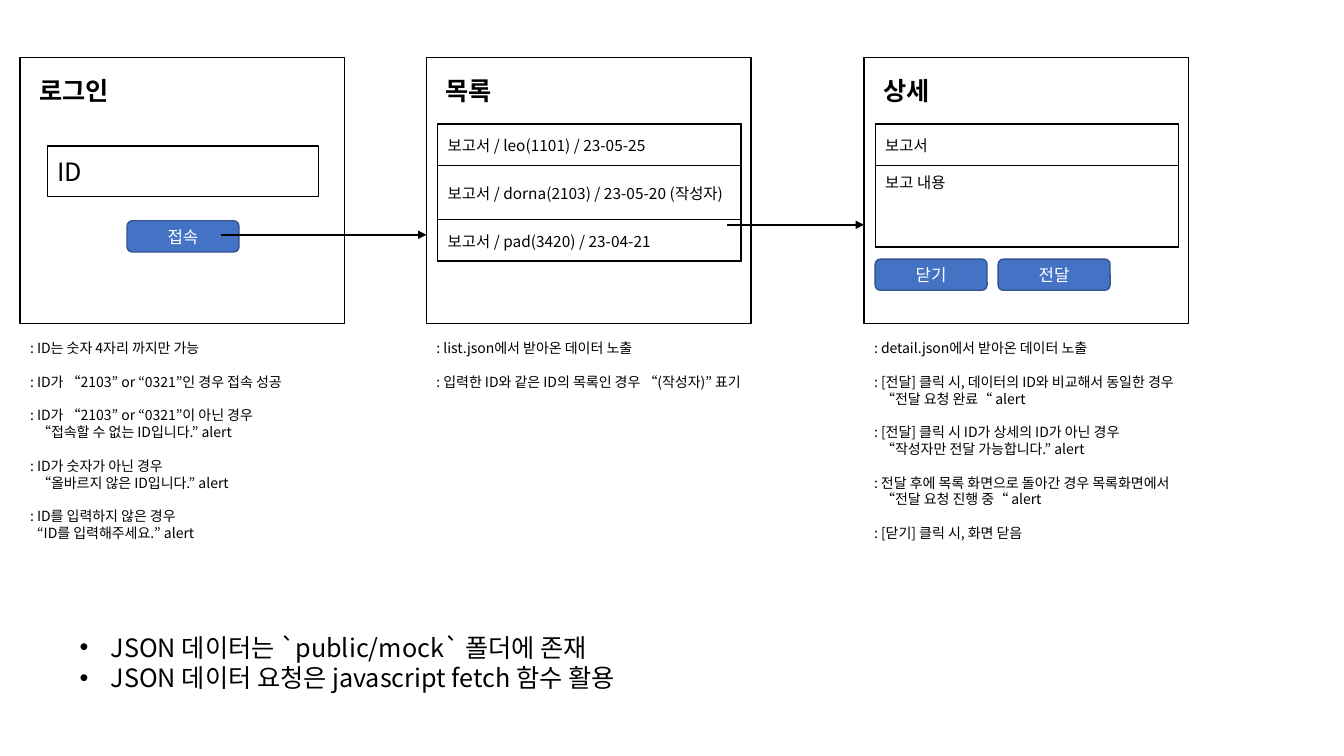
from lxml import etree
from pptx import Presentation
from pptx import util as u
from pptx.dml.color import RGBColor
from pptx.enum import shapes, text
from pptx.oxml.ns import qn

COLORS = {"ink": "000000", "paper": "FFFFFF", "button": "4472C4", "button_edge": "325491"}
FONT = "Noto Sans CJK KR"
PANEL_TOP, PANEL_WIDTH, PANEL_HEIGHT = 0.57, 3.22, 2.64
LOGIN_LEFT, LIST_LEFT, DETAIL_LEFT = 0.2, 4.23, 8.57

# Each note is a list of lines; the lines after the first are indented.
LOGIN_NOTES = [
    [": ID는 숫자 4자리 까지만 가능"],
    [": ID가 “2103” or “0321”인 경우 접속 성공"],
    [": ID가 “2103” or “0321”이 아닌 경우", "“접속할 수 없는 ID입니다.” alert"],
    [": ID가 숫자가 아닌 경우", "“올바르지 않은 ID입니다.” alert"],
    [": ID를 입력하지 않은 경우", "“ID를 입력해주세요.” alert"],
]
LIST_NOTES = [
    [": list.json에서 받아온 데이터 노출"],
    [": 입력한 ID와 같은 ID의 목록인 경우 “(작성자)” 표기"],
]
DETAIL_NOTES = [
    [": detail.json에서 받아온 데이터 노출"],
    [": [전달] 클릭 시, 데이터의 ID와 비교해서 동일한 경우", "“전달 요청 완료“ alert"],
    [": [전달] 클릭 시 ID가 상세의 ID가 아닌 경우", "“작성자만 전달 가능합니다.” alert"],
    [": 전달 후에 목록 화면으로 돌아간 경우 목록화면에서", "“전달 요청 진행 중“ alert"],
    [": [닫기] 클릭 시, 화면 닫음"],
]
LIST_ROWS = [
    ("보고서 / leo(1101) / 23-05-25", 0.41),
    ("보고서 / dorna(2103) / 23-05-20 (작성자)", 0.54),
    ("보고서 / pad(3420) / 23-04-21", 0.41),
]
DETAIL_ROWS = [("보고서", 0.41), ("보고 내용", 0.81)]
DATA_NOTES = [
    "JSON 데이터는 `public/mock` 폴더에 존재",
    "JSON 데이터 요청은 javascript fetch 함수 활용",
]


def rgb(name):
    return RGBColor.from_string(COLORS[name])


def inches(*lengths):
    return [u.Inches(length) for length in lengths]


class Wireframe:
    def __init__(self, slide):
        self.slide = slide

    def style(self, paragraph, size, color="ink", bold=None):
        for run in paragraph.runs:
            run.font.size = u.Pt(size)
            run.font.bold = bold
            run.font.name = FONT
            run.font.color.rgb = rgb(color)
            latin = run.font._element.find(qn("a:latin"))
            east_asian = etree.Element(qn("a:ea"), typeface=FONT)
            latin.addnext(east_asian)

    def box(self, left, top, width, height, fill="paper", line="ink", rounded=False):
        kind = shapes.MSO_SHAPE.ROUNDED_RECTANGLE if rounded else shapes.MSO_SHAPE.RECTANGLE
        shape = self.slide.shapes.add_shape(kind, *inches(left, top, width, height))
        shape.shadow.inherit = False
        shape.fill.solid()
        shape.fill.fore_color.rgb = rgb(fill)
        shape.line.color.rgb = rgb(line)
        shape.line.width = u.Pt(1)
        return shape

    def label(self, shape, content, size, color, alignment):
        shape.text_frame.text = content
        shape.text_frame.vertical_anchor = text.MSO_ANCHOR.MIDDLE
        paragraph = shape.text_frame.paragraphs[0]
        paragraph.alignment = alignment
        self.style(paragraph, size, color)

    def text_frame(self, left, top, width, height, lines, wrap=True):
        frame = self.slide.shapes.add_textbox(*inches(left, top, width, height)).text_frame
        frame.text = "\n".join(lines)
        frame.word_wrap = wrap
        frame.auto_size = text.MSO_AUTO_SIZE.SHAPE_TO_FIT_TEXT
        return frame

    def panel(self, left, title, title_width):
        self.box(left, PANEL_TOP, PANEL_WIDTH, PANEL_HEIGHT)
        frame = self.text_frame(left + 0.09, 0.7, title_width, 0.4, [title], wrap=False)
        self.style(frame.paragraphs[0], 18, bold=True)

    def field(self, left, top, width, height, content):
        shape = self.box(left, top, width, height)
        self.label(shape, content, 18, "ink", text.PP_ALIGN.LEFT)

    def button(self, left, top, content):
        shape = self.box(left, top, 1.11, 0.31, "button", "button_edge", rounded=True)
        self.label(shape, content, 12, "paper", text.PP_ALIGN.CENTER)

    def arrow(self, start, end, y):
        line = self.slide.shapes.add_connector(
            shapes.MSO_CONNECTOR.STRAIGHT, *inches(start, y, end, y))
        line.line.color.rgb = rgb("ink")
        line.line.width = u.Pt(1.5)
        etree.SubElement(line.line._get_or_add_ln(), qn("a:tailEnd"), type="triangle")
        etree.SubElement(line._element.spPr, qn("a:effectLst"))

    def border(self, cell):
        properties = cell._tc.get_or_add_tcPr()
        for position, side in enumerate(("lnL", "lnR", "lnT", "lnB")):
            line = etree.Element(qn(f"a:{side}"), w=str(u.Pt(1)))
            fill = etree.SubElement(line, qn("a:solidFill"))
            etree.SubElement(fill, qn("a:srgbClr"), val=COLORS["ink"])
            properties.insert(position, line)

    def table(self, left, rows, last_anchor):
        width, height = 3.01, sum(row_height for _, row_height in rows)
        table = self.slide.shapes.add_table(
            len(rows), 1, *inches(left, 1.23, width, height)).table
        table.first_row = table.horz_banding = False
        for index, (content, row_height) in enumerate(rows):
            table.rows[index].height = u.Inches(row_height)
            cell = table.cell(index, 0)
            cell.text_frame.text = content
            cell.vertical_anchor = text.MSO_ANCHOR.MIDDLE
            cell.fill.solid()
            cell.fill.fore_color.rgb = rgb("paper")
            self.style(cell.text_frame.paragraphs[0], 11)
            self.border(cell)
        cell.vertical_anchor = last_anchor

    def notes(self, left, width, height, notes):
        lines = [line for note in notes for line in note]
        frame = self.text_frame(left, 3.32, width, height, lines)
        paragraphs = iter(frame.paragraphs)
        for note_index, note in enumerate(notes):
            for line_index in range(len(note)):
                paragraph = next(paragraphs)
                self.style(paragraph, 10)
                if line_index:
                    paragraph._p.get_or_add_pPr().set("marL", str(u.Inches(0.07)))
                elif note_index:
                    paragraph.space_before = u.Pt(12)

    def bullets(self, left, top, width, height, lines):
        frame = self.text_frame(left, top, width, height, lines)
        for paragraph in frame.paragraphs:
            self.style(paragraph, 18)
            properties = paragraph._p.get_or_add_pPr()
            properties.set("marL", str(u.Inches(0.31)))
            properties.set("indent", str(u.Inches(-0.31)))
            etree.SubElement(properties, qn("a:buFont"), typeface="Arial")
            etree.SubElement(properties, qn("a:buChar"), char="•")


def main():
    presentation = Presentation()
    presentation.slide_width, presentation.slide_height = inches(13.33, 7.5)
    wireframe = Wireframe(presentation.slides.add_slide(presentation.slide_layouts[6]))

    wireframe.panel(LIST_LEFT, "목록", 0.71)
    wireframe.table(LIST_LEFT + 0.11, LIST_ROWS, text.MSO_ANCHOR.MIDDLE)
    wireframe.panel(DETAIL_LEFT, "상세", 0.71)
    wireframe.table(DETAIL_LEFT + 0.11, DETAIL_ROWS, text.MSO_ANCHOR.TOP)
    wireframe.panel(LOGIN_LEFT, "로그인", 0.96)
    wireframe.field(0.47, 1.45, 2.69, 0.5, "ID")

    wireframe.button(1.26, 2.19, "접속")
    wireframe.button(8.68, 2.57, "닫기")
    wireframe.button(9.9, 2.57, "전달")
    wireframe.arrow(2.19, LIST_LEFT, 2.33)
    wireframe.arrow(7.21, DETAIL_LEFT, 2.23)

    wireframe.notes(LOGIN_LEFT, 2.8, 2.12, LOGIN_NOTES)
    wireframe.notes(LIST_LEFT, 3.48, 0.61, LIST_NOTES)
    wireframe.notes(DETAIL_LEFT, 3.55, 2.12, DETAIL_NOTES)
    wireframe.bullets(0.69, 6.22, 5.82, 0.71, DATA_NOTES)
    presentation.save("out.pptx")


if __name__ == "__main__":
    main()
